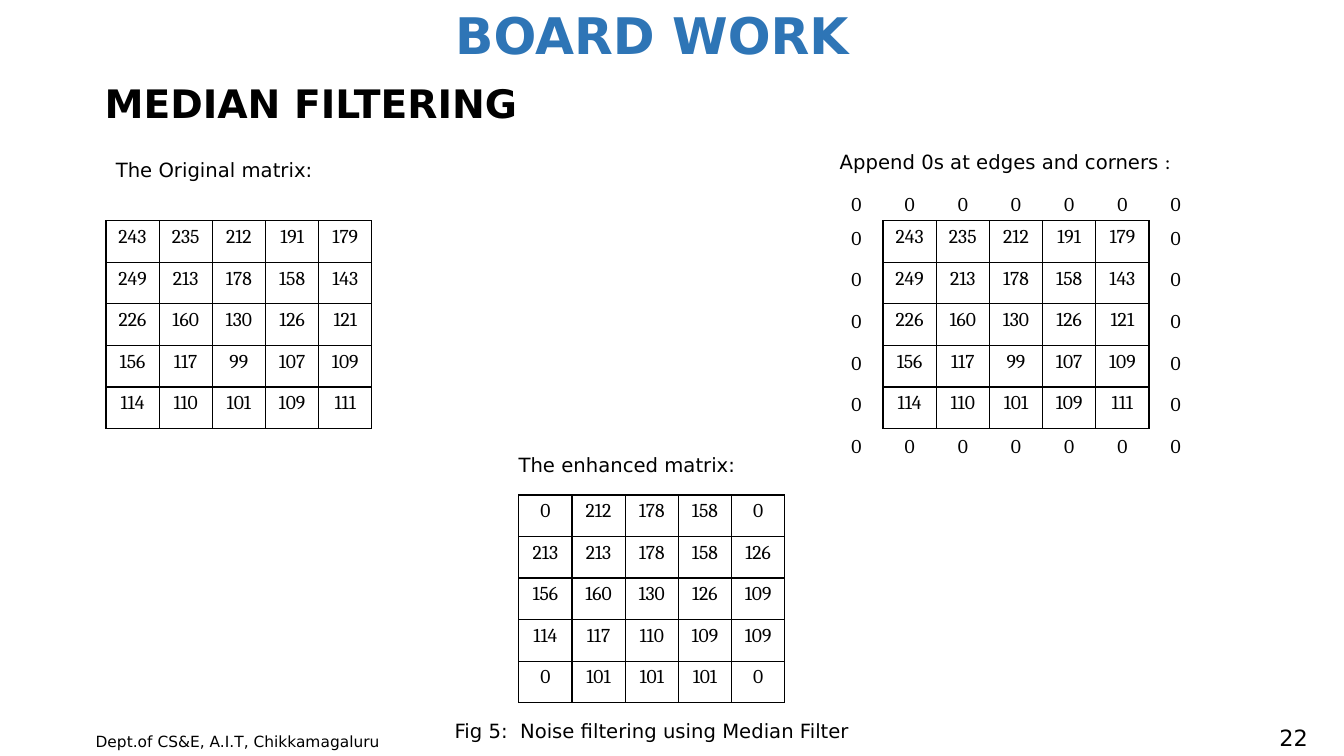
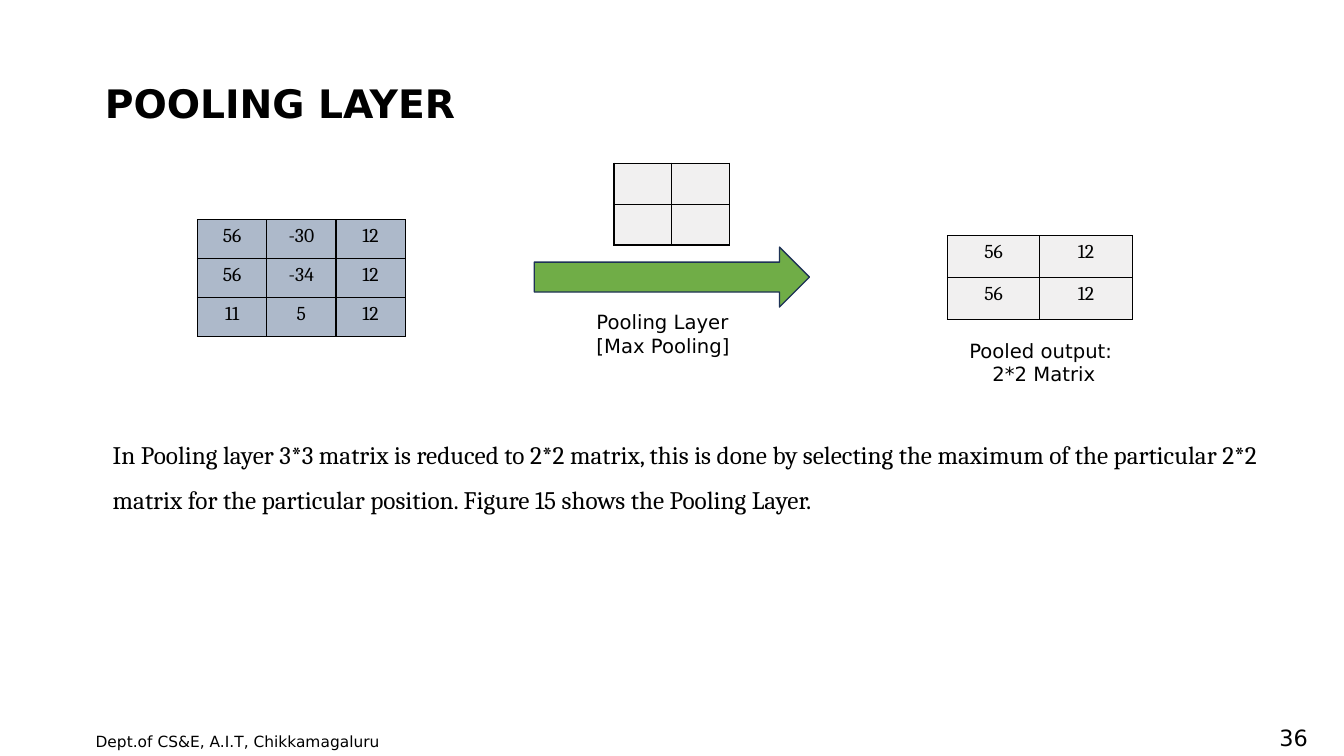
from lxml import etree
from pptx import Presentation
from pptx.dml.color import RGBColor
from pptx.enum.shapes import MSO_SHAPE
from pptx.enum.text import MSO_ANCHOR, MSO_AUTO_SIZE, PP_ALIGN
from pptx.oxml.ns import qn
from pptx.util import Inches, Pt

LEFT, CENTER, RIGHT = PP_ALIGN.LEFT, PP_ALIGN.CENTER, PP_ALIGN.RIGHT
TOP, MIDDLE = MSO_ANCHOR.TOP, MSO_ANCHOR.MIDDLE
NO_FIT = MSO_AUTO_SIZE.NONE
RIGHT_ARROW = MSO_SHAPE.RIGHT_ARROW

COLORS = {
    "text": "000000", "title": "2E75B6", "border": "000000",
    "plain": "FFFFFF", "input": "ADB9CA", "output": "F1F0F0",
    "arrow": "70AD47", "arrow_line": "1E3256",
}
SANS, SERIF = "DejaVu Sans", "Cambria"
FOOTER = "Dept.of CS&E, A.I.T, Chikkamagaluru"

# Grid of 100 columns by 100 rows; every box is (column, row, columns, rows)
WIDTH, HEIGHT = Inches(13.33), Inches(7.5)
COL, ROW = WIDTH / 100, HEIGHT / 100
LINE = 4.5  # rows taken by a one-line label

ORIGINAL = [
    [243, 235, 212, 191, 179],
    [249, 213, 178, 158, 143],
    [226, 160, 130, 126, 121],
    [156, 117, 99, 107, 109],
    [114, 110, 101, 109, 111],
]
ENHANCED = [
    [0, 212, 178, 158, 0],
    [213, 213, 178, 158, 126],
    [156, 160, 130, 126, 109],
    [114, 117, 110, 109, 109],
    [0, 101, 101, 101, 0],
]
POOL_INPUT = [[56, -30, 12], [56, -34, 12], [11, 5, 12]]
POOL_OUTPUT = [[56, 12], [56, 12]]
KERNEL = [["", ""], ["", ""]]


# Shared helpers
def rgb(name):
    return RGBColor.from_string(COLORS[name])


def emu(box):
    x, y, w, h = box
    return int(x * COL), int(y * ROW), int(w * COL), int(h * ROW)


def within(box, x, y, w, h):
    """Box given as shares of an outer box."""
    left, top, width, height = box
    return left + x * width, top + y * height, w * width, h * height


def style_run(r, size, font=SANS, color="text", bold=False):
    r.font.size, r.font.name, r.font.bold = Pt(size), font, bold
    r.font.color.rgb = rgb(color)


def write(tf, text, size, font=SANS, color="text", bold=False,
          align=LEFT, anchor=TOP, spacing=1.0):
    tf.text = text
    tf.word_wrap, tf.auto_size = True, NO_FIT
    tf.vertical_anchor = anchor
    for p in tf.paragraphs:
        p.alignment, p.line_spacing = align, spacing
        for r in p.runs:
            style_run(r, size, font, color, bold)


def add_text(s, box, text, size=14, **style):
    sp = s.shapes.add_textbox(*emu(box))
    write(sp.text_frame, text, size, **style)
    return sp


def add_borders(cell):
    tc_pr = cell._tc.get_or_add_tcPr()
    for side in ("lnL", "lnR", "lnT", "lnB"):
        ln = etree.SubElement(tc_pr, qn(f"a:{side}"), w=str(Pt(1)))
        fill = etree.SubElement(ln, qn("a:solidFill"))
        etree.SubElement(fill, qn("a:srgbClr"), val=COLORS["border"])


def add_matrix(s, box, values, fill="plain"):
    x, y, w, h = emu(box)
    rows, cols = len(values), len(values[0])
    table = s.shapes.add_table(rows, cols, x, y, w, h).table
    table.first_row = table.horz_banding = False
    for column in table.columns:
        column.width = w // cols
    for row, numbers in zip(table.rows, values):
        row.height = h // rows
        for cell, number in zip(row.cells, numbers):
            add_borders(cell)
            cell.fill.solid()
            cell.fill.fore_color.rgb = rgb(fill)
            cell.margin_left = cell.margin_right = Inches(0.05)
            cell.text = str(number)
            p = cell.text_frame.paragraphs[0]
            p.alignment = CENTER
            for r in p.runs:
                style_run(r, 14, SERIF)


def add_slide(prs, title, box, number, size=28, **style):
    s = prs.slides.add_slide(prs.slide_layouts[5])
    sp = s.shapes.title
    sp.left, sp.top, sp.width, sp.height = emu(box)
    write(sp.text_frame, title, size, bold=True, **style)
    add_text(s, (6.38, 96.13, 23.55, 3.87), FOOTER, 11)
    add_text(s, (94.3, 95.47, 3.75, 4.27), str(number), 16,
             align=RIGHT, anchor=MIDDLE)
    return s


# Median filtering regions
def labelled_matrix(s, box, values, label, shift, label_width=20):
    """Matrix with a label shifted from its top left corner."""
    add_matrix(s, box, values)
    label_box = (box[0] + shift[0], box[1] + shift[1], label_width, LINE)
    return add_text(s, label_box, label)


def zero_ring(s, box, n):
    """Zeros around an n by n matrix, one cell beyond each edge."""
    x, y, w, h = box
    cell_w, cell_h = w / n, h / n
    lefts = [x + i * cell_w for i in range(-1, n + 1)]
    tops = [y - LINE] + [y + i * cell_h for i in range(n + 1)]
    for i, top in enumerate(tops):
        edge_row = i in (0, n + 1)
        for left in lefts if edge_row else (lefts[0], lefts[-1]):
            add_text(s, (left, top, cell_w, LINE), "0",
                     font=SERIF, align=CENTER)


# Pooling regions
def pooling_step(s, box):
    """Kernel above an arrow, with the step's name below."""
    sp = s.shapes.add_shape(RIGHT_ARROW, *emu(within(box, 0, 0.42, 1, 0.3)))
    sp.shadow.inherit = False
    sp.fill.solid()
    sp.fill.fore_color.rgb = rgb("arrow")
    sp.line.color.rgb = rgb("arrow_line")
    sp.line.width = Pt(1)
    add_matrix(s, within(box, 0.29, 0, 0.42, 0.41), KERNEL, "output")
    add_text(s, within(box, 0.19, 0.71, 0.62, 0.29),
             "Pooling Layer\n[Max Pooling]")


def pooled_output(s, box):
    add_matrix(s, within(box, 0.03, 0, 0.93, 0.54), POOL_OUTPUT, "output")
    add_text(s, within(box, 0, 0.63, 1, 0.37),
             "Pooled output:\n 2*2 Matrix", align=CENTER)


# Slides
def median_slide(prs):
    s = add_slide(prs, "BOARD WORK", (7.88, 0, 81.25, 10.1), 22, size=36,
                  color="title", align=CENTER, anchor=MIDDLE, spacing=0.9)
    add_text(s, (7.05, 9.87, 50, 7.6), "MEDIAN FILTERING", 28, bold=True)

    size = (19.8, 27.5)
    labelled_matrix(s, (7.88, 29.2, *size), ORIGINAL,
                    "The Original matrix:", (0, -8.93))
    padded = (65.7, 29.2, *size)
    sp = labelled_matrix(s, padded, ORIGINAL, "Append 0s at edges and corners ",
                         (-3.96, -10), 32.8)
    r = sp.text_frame.paragraphs[0].add_run()
    r.text = ":"
    style_run(r, 14, "Calibri")
    zero_ring(s, padded, len(ORIGINAL))
    labelled_matrix(s, (38.6, 65.47, *size), ENHANCED,
                    "The enhanced matrix:", (-0.75, -6.17))
    add_text(s, (22.65, 94, 51.7, LINE),
             "Fig 5:  Noise filtering using Median Filter",
             align=CENTER, spacing=1.15)


def pooling_slide(prs):
    s = add_slide(prs, "POOLING LAYER", (7.05, 9.87, 66.7, 7.6), 36)
    add_matrix(s, (14.7, 29.07, 15.45, 15.47), POOL_INPUT, "input")
    pooling_step(s, (39.75, 21.6, 20.48, 26.4))
    pooled_output(s, (70.05, 31.2, 14.78, 20.5))
    add_text(s, (7.65, 55.47, 87.17, 12.93),
             "In Pooling layer 3*3 matrix is reduced to 2*2 matrix, this is "
             "done by selecting the maximum of the particular 2*2 matrix for "
             "the particular position. Figure 15 shows the Pooling Layer.",
             18, font=SERIF, spacing=1.5)


def main():
    prs = Presentation()
    prs.slide_width, prs.slide_height = WIDTH, HEIGHT
    median_slide(prs)
    pooling_slide(prs)
    prs.save("out.pptx")


if __name__ == "__main__":
    main()
